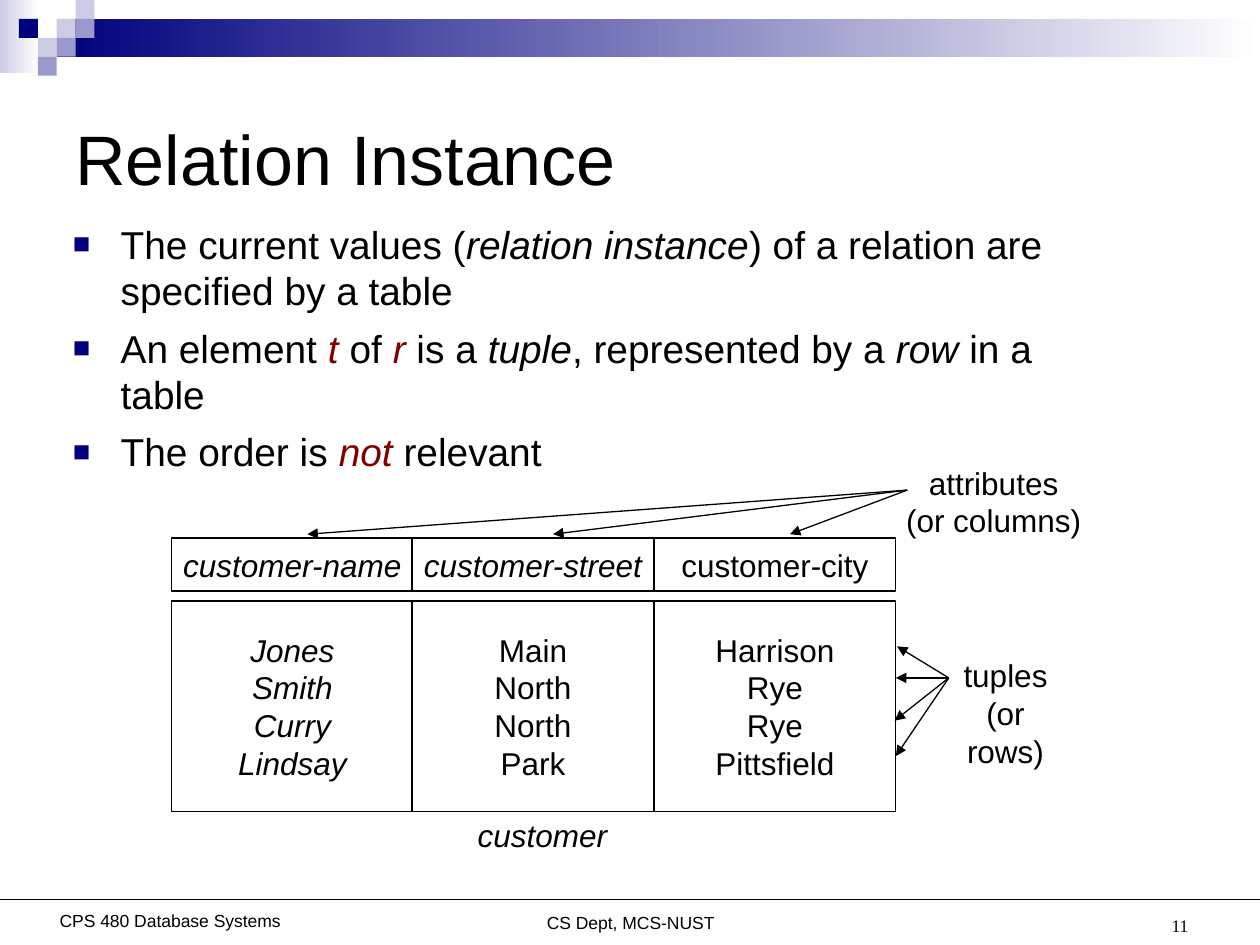
from lxml import etree
from pptx import Presentation, util as u
from pptx.dml.color import RGBColor
from pptx.enum import shapes, text
from pptx.oxml.ns import qn

PX = 9144
NAVY, PALE, MID = "00007D", "CCCCE6", "9999CC"
RED, BLACK, WHITE = "800000", "000000", "FFFFFF"
LEFT, MIDDLE, RIGHT = text.PP_ALIGN.LEFT, text.PP_ALIGN.CENTER, text.PP_ALIGN.RIGHT
TOP, CENTRE, BASE = text.MSO_ANCHOR.TOP, text.MSO_ANCHOR.MIDDLE, text.MSO_ANCHOR.BOTTOM


def px(*vals):
    """Turn px lengths into EMU."""
    return [u.Emu(v * PX) for v in vals]


def paint(color, code):
    """Set a colour from a hex string."""
    color.rgb = RGBColor.from_string(code)


def style(font, size, italic=False, face="Arial"):
    """Set size, slant, face and black on a font."""
    font.size, font.name, font.italic = u.Pt(size), face, italic
    paint(font.color, BLACK)


def write(shape, lines, size, align=LEFT, anchor=TOP, wrap=True, italic=False, face="Arial"):
    """Fill a shape with evenly styled lines."""
    frame = shape.text_frame
    frame.word_wrap, frame.vertical_anchor = wrap, anchor
    for i, line in enumerate(lines):
        para = frame.paragraphs[0] if i == 0 else frame.add_paragraph()
        para.text, para.alignment = line, align
        style(para.font, size, italic, face)


def label(slide, box, lines, size, **look):
    """Place a text box."""
    shape = slide.shapes.add_textbox(*px(*box))
    write(shape, lines, size, **look)
    return shape


def block(slide, box, code):
    """Place a plain rectangle without outline."""
    shape = slide.shapes.add_shape(shapes.MSO_SHAPE.RECTANGLE, *px(*box))
    shape.shadow.inherit = False
    shape.fill.solid()
    paint(shape.fill.fore_color, code)
    shape.line.fill.background()
    return shape


def fade(slide, box, code):
    """Place a rectangle that fades to white on the right."""
    fill = block(slide, box, code).fill
    fill.gradient()
    fill.gradient_angle = 0
    for stop, tone in zip(fill.gradient_stops, (code, WHITE)):
        paint(stop.color, tone)


def line(slide, start, end, arrow=False):
    """Draw a thin black line, with an arrowhead if asked."""
    link = slide.shapes.add_connector(shapes.MSO_CONNECTOR.STRAIGHT, *px(*start, *end))
    link.line.width = u.Pt(0.75)
    paint(link.line.color, BLACK)
    if arrow:
        etree.SubElement(link.line._get_or_add_ln(), qn("a:tailEnd"), type="triangle")
    etree.SubElement(link._element.spPr, qn("a:effectLst"))


def banner(slide, x, y):
    """Draw the top band and its mosaic of squares."""
    fade(slide, (x, y, 31, 58), PALE)
    fade(slide, (x + 45, y + 15, 955, 30), NAVY)
    tiles = [(3, 1, PALE), (4, 0, PALE), (4, 1, MID), (2, 2, PALE),
             (1, 1, NAVY), (3, 2, MID), (2, 3, MID)]
    for col, row, code in tiles:
        block(slide, (x + 15 * col, y + 15 * row, 15, 15), code)


def footer(slide, x, y):
    """Draw the rule with course, school and page number."""
    line(slide, (x, y), (x + 1000, y))
    label(slide, (x + 35, y + 3, 200, 27), ["CPS 480 Database Systems"], 10, align=MIDDLE)
    label(slide, (x + 292, y + 5, 417, 27), ["CS Dept, MCS-NUST"], 10, align=MIDDLE)
    label(slide, (x + 720, y - 16, 233, 50), ["11"], 10, align=RIGHT, anchor=BASE,
          face="Times New Roman")


def bullets(slide, box, items):
    """Write square-bulleted items; each run is text, italic, colour."""
    frame = slide.shapes.add_textbox(*px(*box)).text_frame
    frame.word_wrap = True
    for i, runs in enumerate(items):
        para = frame.paragraphs[0] if i == 0 else frame.add_paragraph()
        props = para._p.get_or_add_pPr()
        props.set("marL", str(38 * PX))
        props.set("indent", str(-38 * PX))
        tint = etree.SubElement(props, qn("a:buClr"))
        etree.SubElement(tint, qn("a:srgbClr"), val=NAVY)
        etree.SubElement(props, qn("a:buSzPct"), val="75000")
        etree.SubElement(props, qn("a:buFont"), typeface="Arial")
        etree.SubElement(props, qn("a:buChar"), char="■")
        if i:
            para.space_before = u.Pt(6)
        for words, italic, code in runs:
            run = para.add_run()
            run.text = words
            style(run.font, 22.2, italic)
            paint(run.font.color, code)


def cell(slide, box, lines, italic):
    """Place one outlined cell of the relation."""
    shape = block(slide, box, WHITE)
    shape.line.width = u.Pt(0.75)
    paint(shape.line.color, BLACK)
    write(shape, lines, 18, MIDDLE, CENTRE, False, italic)


def relation(slide, x, y):
    """Draw the customer relation with its labels and arrows."""
    cols = [
        ("customer-name", True, ["Jones", "Smith", "Curry", "Lindsay"], True),
        ("customer-street", True, ["Main", "North", "North", "Park"], False),
        ("customer-city", False, ["Harrison", "Rye", "Rye", "Pittsfield"], False),
    ]
    for i, (head, slant, rows, lean) in enumerate(cols):
        left = x + i * 383 // 2
        cell(slide, (left, y + 50, 192, 167), rows, lean)
        cell(slide, (left, y, 192, 42), [head], slant)
    notes = [((233, 216, 123, 40), ["customer"], True),
             ((573, -64, 159, 70), ["attributes", "(or columns)"], False),
             ((603, 89, 118, 70), ["tuples", "(or rows)"], False)]
    for (dx, dy, w, h), lines, slant in notes:
        label(slide, (x + dx, y + dy, w, h), lines, 18, align=MIDDLE,
              wrap=False, italic=slant)
    for dx in (108, 303, 491):
        line(slide, (x + 584, y - 38), (x + dx, y - 3), True)
    for dx, dy in ((576, 86), (575, 111), (574, 145), (575, 173)):
        line(slide, (x + 617, y + 111), (x + dx, y + dy), True)


def main():
    """Build and save the slide."""
    deck = Presentation()
    deck.slide_width, deck.slide_height = px(1000, 750)
    slide = deck.slides.add_slide(deck.slide_layouts[6])
    banner(slide, 0, 0)
    footer(slide, 0, 714)
    label(slide, (50, 50, 900, 150), ["Relation Instance"], 40, anchor=CENTRE)
    bullets(slide, (48, 170, 830, 215), [
        [("The current values (", False, BLACK), ("relation instance", True, BLACK),
         (") of a relation are specified by a table", False, BLACK)],
        [("An element ", False, BLACK), ("t", True, RED), (" of ", False, BLACK),
         ("r", True, RED), (" is a ", False, BLACK), ("tuple", True, BLACK),
         (", represented by a ", False, BLACK), ("row ", True, BLACK),
         ("in a table", False, BLACK)],
        [("The order is ", False, BLACK), ("not", True, RED), (" relevant", False, BLACK)],
    ])
    relation(slide, 136, 427)
    deck.save("out.pptx")


if __name__ == "__main__":
    main()
